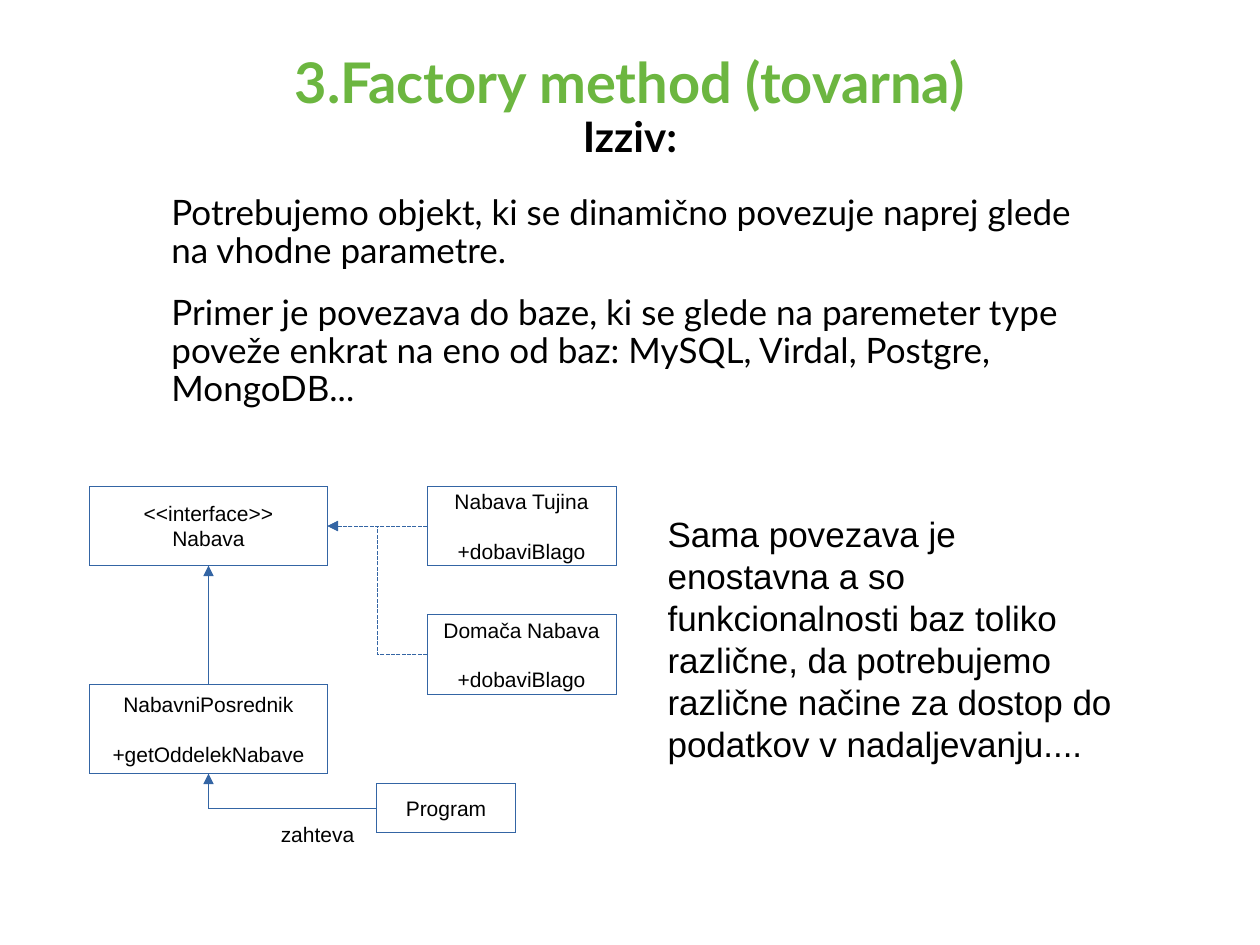
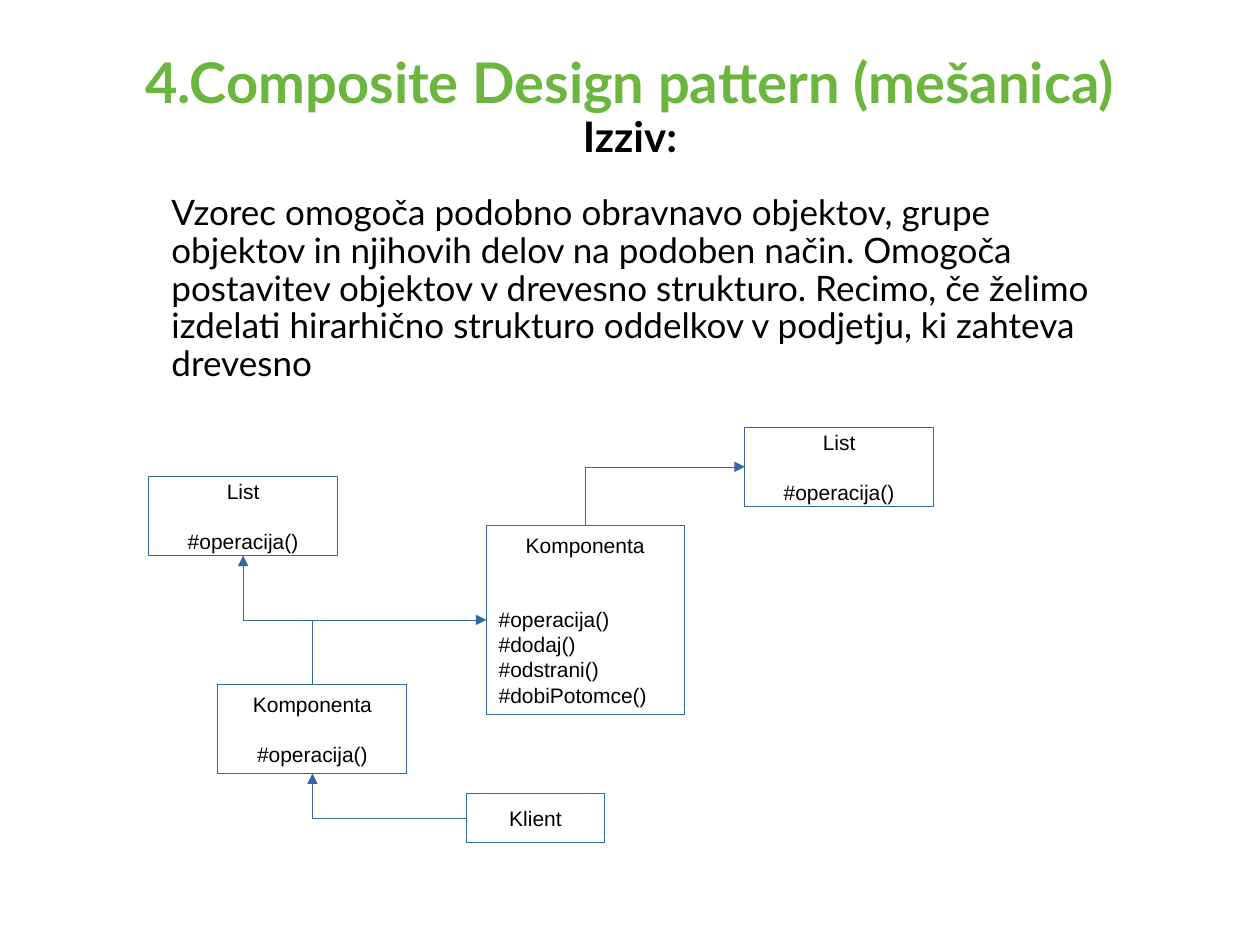
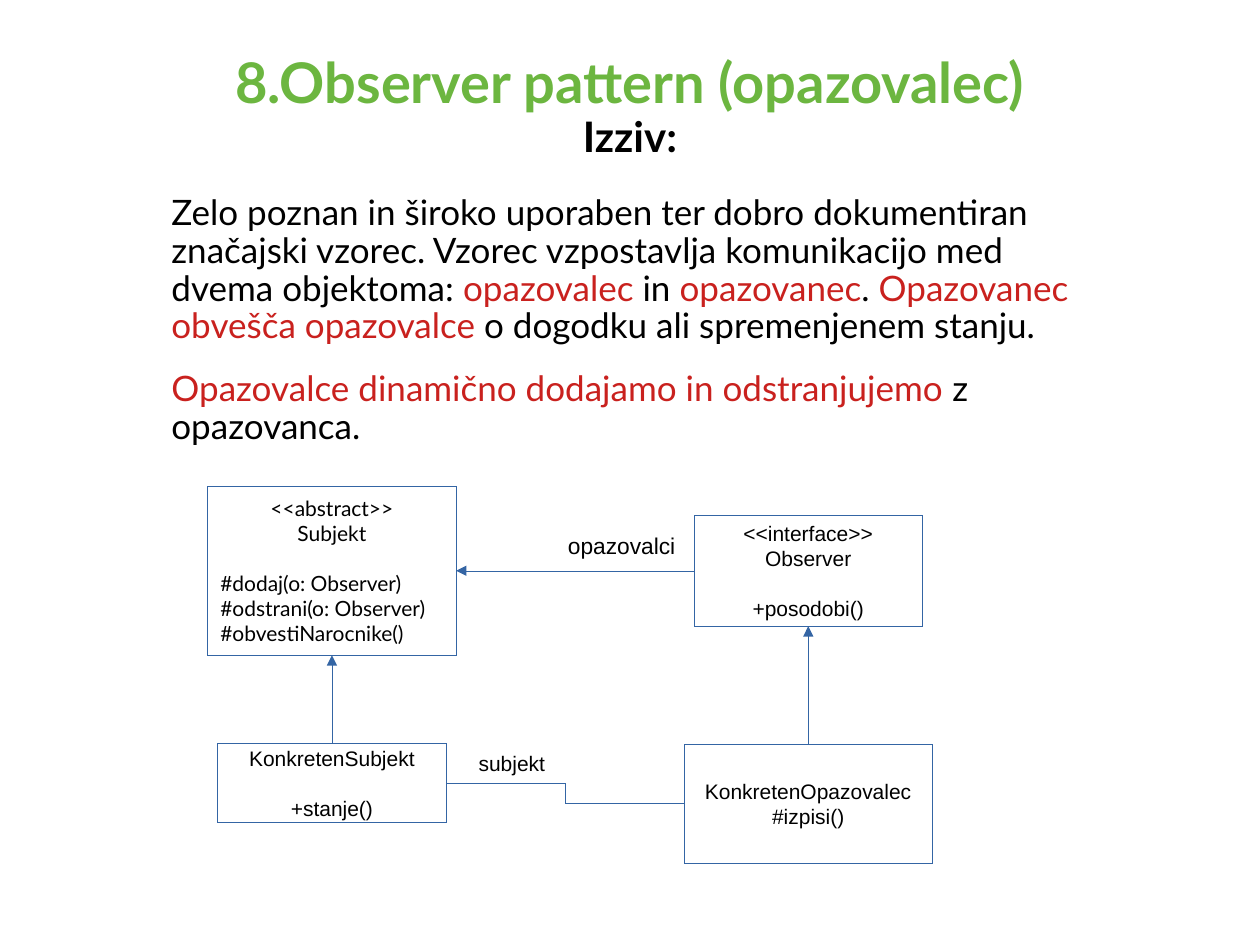
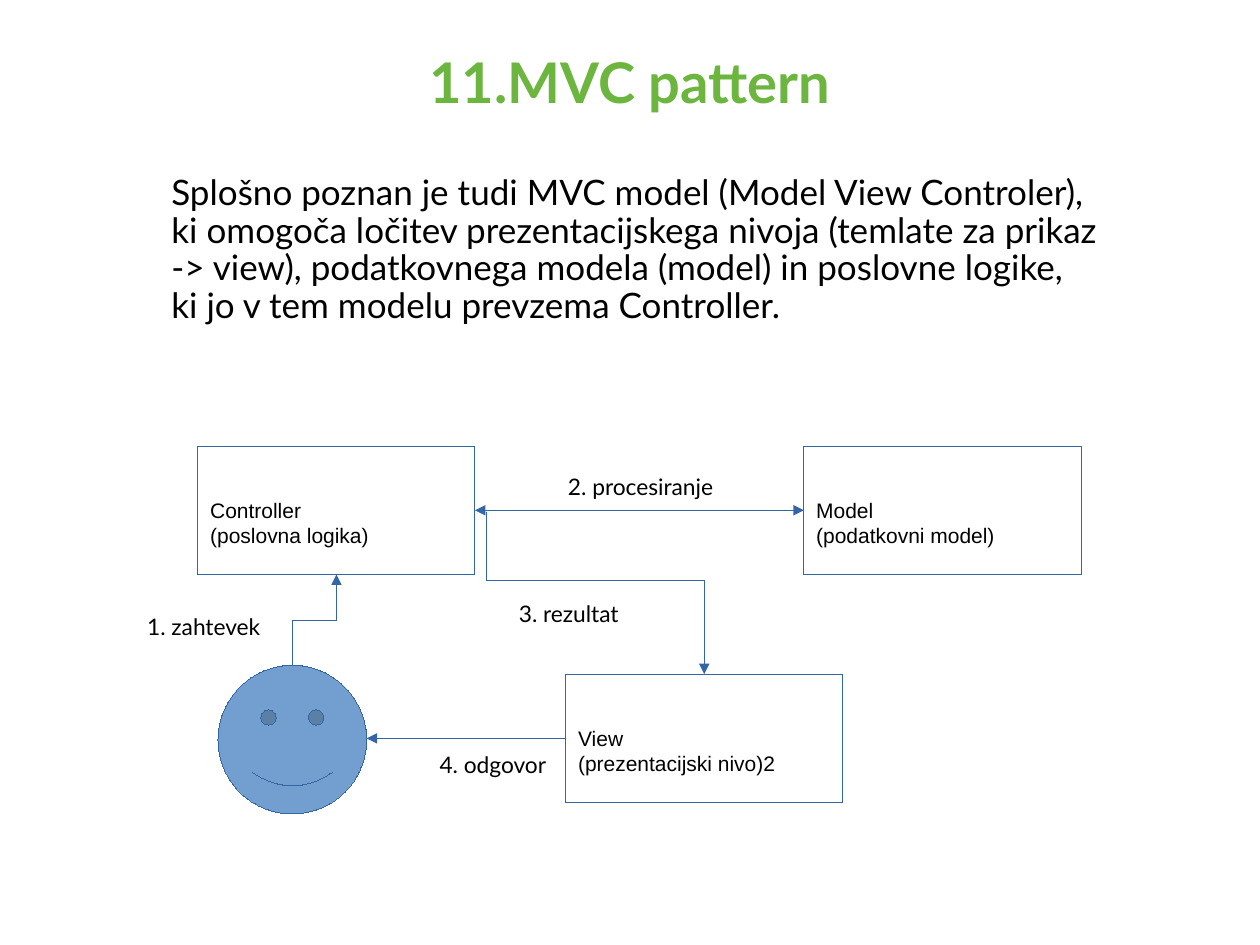
from pptx import Presentation
from pptx.dml.color import RGBColor
from pptx.enum.dml import MSO_LINE
from pptx.enum.shapes import MSO_CONNECTOR as Wire, MSO_SHAPE as Form
from pptx.enum.text import MSO_ANCHOR as Anchor, PP_ALIGN as Align
from pptx.oxml.ns import qn
from pptx.util import Pt
from lxml.etree import SubElement as sub

PX = 9144  # 100 px to the inch
GREEN = RGBColor(0x6C, 0xB6, 0x40)
BLACK = RGBColor(0, 0, 0)
WHITE = RGBColor(255, 255, 255)
RED = RGBColor(0xC9, 0x21, 0x1E)
BLUE = RGBColor(0x34, 0x65, 0xA4)
SKY = RGBColor(0x72, 0x9F, 0xCF)
TOP, LEFT, BOTTOM, RIGHT = range(4)


def px(*nums):
    return [round(n * PX) for n in nums]


def style(font, size, face="Arial", color=BLACK, bold=False):
    font.size, font.name, font.bold = Pt(size), face, bold
    font.color.rgb = color


def outline(item):
    """Give a blue hairline; the zero width must be written out to beat the theme."""
    item.line.color.rgb = BLUE
    edge = item._element.spPr.find(qn("a:ln"))
    edge.set("w", "0")
    return edge


class Deck:
    def __init__(self):
        self.prs = Presentation()
        self.prs.slide_width, self.prs.slide_height = px(1000, 750)

    def page(self, title, under=None):
        self.slide = self.prs.slides.add_slide(self.prs.slide_layouts[6])
        para = self.frame(50, 39, 900, 116).paragraphs[0]
        para.alignment, para.line_spacing = Align.CENTER, 0.9
        run = para.add_run()
        run.text = title
        style(run.font, 32, "Lato", GREEN, True)
        if under:
            para.add_line_break()
            run = para.add_run()
            run.text = under
            style(run.font, 24, "Lato", BLACK, True)

    def frame(self, *area):
        frame = self.slide.shapes.add_textbox(*px(*area)).text_frame
        frame.word_wrap = True
        return frame

    def body(self, *texts, top=150, high=79):
        """Write paragraphs; parts between asterisks are red."""
        frame = self.frame(79, top, 802, high)
        frame.margin_left = px(57)[0]
        for i, text in enumerate(texts):
            para = frame.add_paragraph() if i else frame.paragraphs[0]
            para.line_spacing = 0.9
            para.space_before = Pt(14.2 if i else 0)
            for j, part in enumerate(text.split("*")):
                if part:
                    run = para.add_run()
                    run.text = part
                    style(run.font, 20, "Lato", RED if j % 2 else BLACK)

    def label(self, text, *area, size=12, face="Arial"):
        para = self.frame(*area).paragraphs[0]
        para.text = text
        style(para.font, size, face)

    def shape(self, form, area, fill):
        shape = self.slide.shapes.add_shape(form, *px(*area))
        shape.shadow.inherit = False
        shape.fill.solid()
        shape.fill.fore_color.rgb = fill
        outline(shape)
        return shape

    def box(self, text, *area, mid=9, drop=0, face="Arial"):
        """Draw a class box; the first mid lines are centred, an empty line is a gap."""
        shape = self.shape(Form.FLOWCHART_PROCESS, area, WHITE)
        frame = shape.text_frame
        frame.word_wrap, frame.vertical_anchor = True, Anchor.MIDDLE
        frame.margin_top = px(5 + drop)[0]
        gap = 0
        for i, line in enumerate(text.split("\n")):
            if not line:
                gap += 14
                continue
            para = frame.add_paragraph() if i else frame.paragraphs[0]
            para.text = line
            para.alignment = Align.CENTER if i < mid else Align.LEFT
            para.space_before = Pt(gap)
            style(para.font, 12, face)
            gap = 0
        return shape

    def link(self, start, end, bend=0, rise=False, ends=("tailEnd",), adj=50000, dash=False):
        """Join two (shape, site) or (x, y) ends; bend is 2 or 3 legs, rise starts upright."""
        kind = Wire.ELBOW if bend else Wire.STRAIGHT
        free = [px(*p) if isinstance(p[0], int) else (0, 0) for p in (start, end)]
        wire = self.slide.shapes.add_connector(kind, *free[0], *free[1])
        if not isinstance(start[0], int):
            wire.begin_connect(*start)
        if not isinstance(end[0], int):
            wire.end_connect(*end)
        props = wire._element.spPr
        if bend:
            geom = props.find(qn("a:prstGeom"))
            geom.set("prst", f"bentConnector{bend}")
            if bend == 3:
                sub(geom.find(qn("a:avLst")), qn("a:gd"), name="adj1", fmla=f"val {adj}")
        if rise:
            self.stand(wire)
        edge = outline(wire)
        if dash:
            wire.line.dash_style = MSO_LINE.SQUARE_DOT
        for tip in ends:
            sub(edge, qn(f"a:{tip}"), type="triangle")
        sub(props, qn("a:effectLst"))

    def stand(self, wire):
        """Turn a bent connector so that its first leg is upright."""
        right, down = wire.end_x > wire.begin_x, wire.end_y > wire.begin_y
        wide, high = wire.width, wire.height
        wire.left += (wide - high) // 2
        wire.top += (high - wide) // 2
        wire.width, wire.height = high, wide
        xfrm = wire._element.spPr.find(qn("a:xfrm"))
        xfrm.set("rot", "5400000")
        xfrm.set("flipH", "0" if down else "1")
        xfrm.set("flipV", "1" if right else "0")


def factory(deck):
    deck.page("3.Factory method (tovarna)", "Izziv:")
    deck.label("Sama povezava je enostavna a so funkcionalnosti baz toliko različne, "
               "da potrebujemo različne načine za dostop do podatkov v nadaljevanju....",
               520, 402, 383, 313, size=20)
    deck.body("Potrebujemo objekt, ki se dinamično povezuje naprej glede na vhodne parametre.",
              "Primer je povezava do baze, ki se glede na paremeter type poveže enkrat "
              "na eno od baz: MySQL, Virdal, Postgre, MongoDB...")
    main = deck.box("Program", 299, 622, 110, 39)
    agent = deck.box("NabavniPosrednik\n\n+getOddelekNabave", 71, 543, 189, 71)
    base = deck.box("<<interface>>\nNabava", 71, 386, 189, 63)
    deck.label("zahteva", 213, 647, 85, 29)
    deck.link((main, LEFT), (agent, BOTTOM), 2)
    deck.link((agent, TOP), (base, BOTTOM))
    for name, top, bend in (("Nabava Tujina", 386, 0), ("Domača Nabava", 488, 3)):
        unit = deck.box(f"{name}\n\n+dobaviBlago", 339, top, 150, 63)
        deck.link((unit, LEFT), (base, RIGHT), bend, dash=True)


def composite(deck):
    deck.page("4.Composite Design pattern (mešanica)", "Izziv:")
    deck.body("Vzorec omogoča podobno obravnavo objektov, grupe objektov in njihovih delov "
              "na podoben način. Omogoča postavitev objektov v drevesno strukturo. Recimo, "
              "če želimo izdelati hirarhično strukturo oddelkov v podjetju, ki zahteva drevesno")
    user = deck.box("Klient", 370, 630, 110, 39)
    near, far = [deck.box("List\n\n#operacija()", x, y, 150, 63)
                 for x, y in ((118, 378), (591, 339))]
    root = deck.box("Komponenta\n\n#operacija()", 173, 543, 150, 71)
    node = deck.box("Komponenta\n\n\n#operacija()\n#dodaj()\n#odstrani()\n#dobiPotomce()",
                    386, 417, 157, 150, mid=1)
    deck.link((user, LEFT), (root, BOTTOM), 2)
    deck.link((root, TOP), (node, LEFT), 2, rise=True)
    deck.link((root, TOP), (near, BOTTOM), 3, rise=True)
    deck.link((node, TOP), (far, LEFT), 2, rise=True)


def observer(deck):
    deck.page("8.Observer pattern (opazovalec)", "Izziv:")
    deck.body("Zelo poznan in široko uporaben ter dobro dokumentiran značajski vzorec. "
              "Vzorec vzpostavlja komunikacijo med dvema objektoma: *opazovalec* in "
              "*opazovanec*. *Opazovanec obvešča opazovalce* o dogodku ali spremenjenem stanju.",
              "*Opazovalce dinamično dodajamo in odstranjujemo* z opazovanca.")
    real = deck.box("KonkretenSubjekt\n\n+stanje()", 173, 590, 181, 63)
    topic = deck.box("<<abstract>>\nSubjekt\n\n#dodaj(o: Observer)\n#odstrani(o: Observer)\n"
                     "#obvestiNarocnike()", 165, 386, 197, 134, mid=2, face="Lato")
    watch = deck.box("<<interface>>\nObserver\n\n+posodobi()", 551, 409, 181, 88)
    eye = deck.box("KonkretenOpazovalec\n#izpisi()", 543, 591, 197, 94)
    deck.link((eye, LEFT), (real, RIGHT), 3, ends=())
    deck.link((real, TOP), (topic, BOTTOM))
    deck.link((watch, LEFT), (topic, RIGHT))
    deck.link((eye, TOP), (watch, BOTTOM))
    deck.label("opazovalci", 441, 417, 110, 34, size=13)
    deck.label("subjekt", 370, 591, 118, 66)


def mvc(deck):
    deck.page("11.MVC pattern")
    deck.body("Splošno poznan je tudi MVC model (Model View Controler), ki omogoča ločitev "
              "prezentacijskega nivoja (temlate za prikaz -> view), podatkovnega modela (model) "
              "in poslovne logike, ki jo v tem modelu prevzema Controller.", top=134, high=181)
    logic, model, view = [
        deck.box(text, x, y, 220, 102, mid=0, drop=19)
        for text, x, y in (("Controller\n(poslovna logika)", 157, 354),
                           ("Model\n(podatkovni model)", 638, 354),
                           ("View\n(prezentacijski nivo)2", 449, 535))]
    face = deck.shape(Form.SMILEY_FACE, (173, 528, 118, 118), SKY)
    deck.link((logic, RIGHT), (model, LEFT), ends=("headEnd", "tailEnd"))
    deck.link((386, 406), (view, TOP), 3, rise=True, adj=42400)
    deck.link((face, TOP), (logic, BOTTOM), 3, rise=True)
    deck.link((view, LEFT), (291, 586))
    for text, x, y, wide, high in (("1. zahtevek", 107, 481, 114, 59),
                                   ("2. procesiranje", 441, 370, 150, 72),
                                   ("3. rezultat", 402, 471, 150, 72),
                                   ("4. odgovor", 339, 591, 150, 72)):
        deck.label(text, x, y, wide, high, size=13, face="Lato")


def main():
    deck = Deck()
    for draw in (factory, composite, observer, mvc):
        draw(deck)
    deck.prs.save("out.pptx")


if __name__ == "__main__":
    main()
